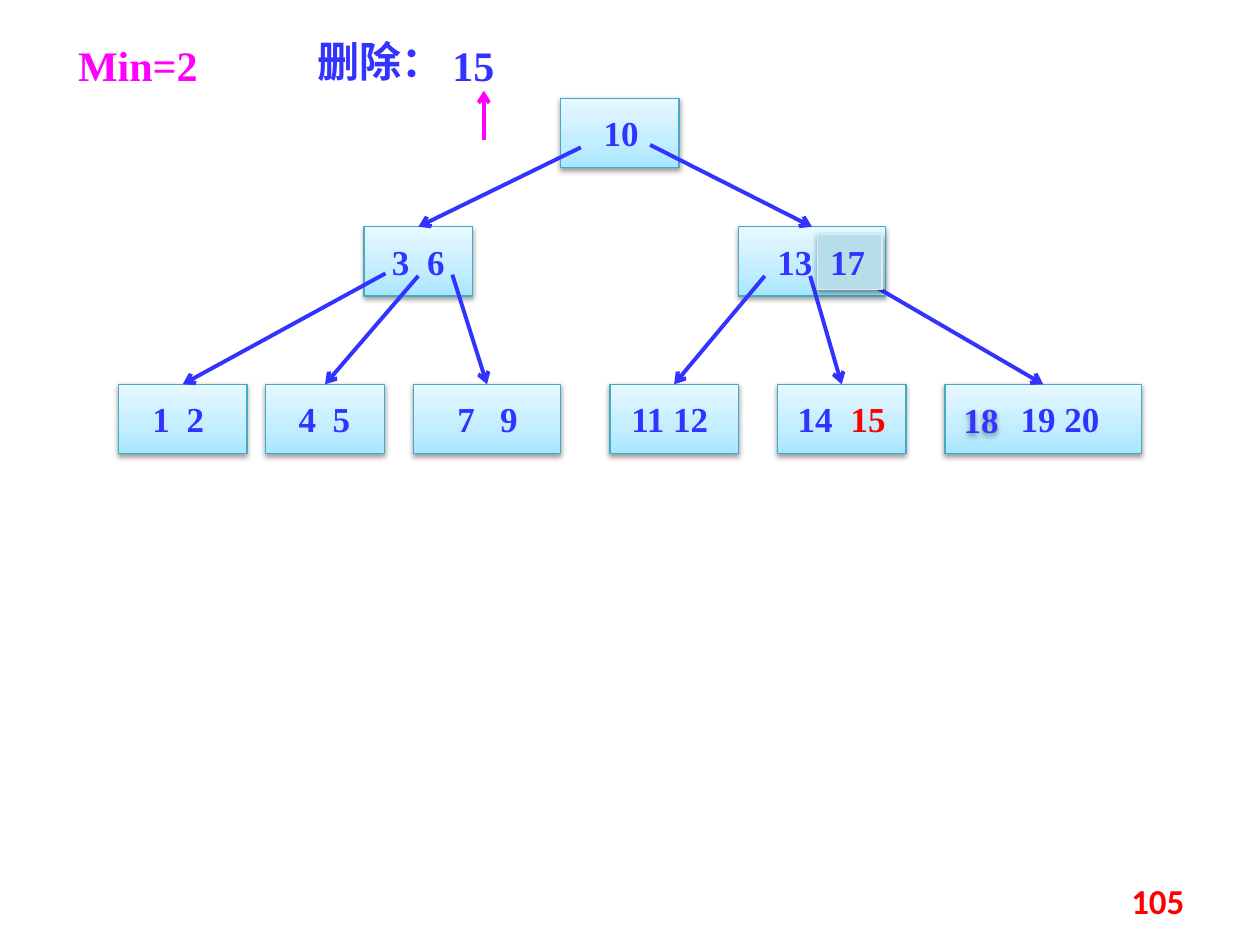
from dataclasses import dataclass

from lxml.etree import SubElement
from pptx import Presentation
from pptx.dml.color import RGBColor
from pptx.enum.shapes import MSO_CONNECTOR, MSO_SHAPE
from pptx.enum.text import MSO_ANCHOR, PP_ALIGN
from pptx.oxml.ns import qn
from pptx.util import Inches, Pt


@dataclass(frozen=True)
class Theme:
    blue: str = "3333FF"
    magenta: str = "FF00FF"
    red: str = "FF0000"
    node_line: str = "46AAC5"
    node_stops: tuple = ((0, "A7E6FF"), (35, "C1EDFF"), (100, "E7F8FF"))
    moved_fill: str = "B7DEE8"
    moved_line: str = "DBEEF4"
    heading: int = 24
    key: int = 20
    serif: str = "Times New Roman"
    chinese: str = "Noto Sans CJK SC"
    sans: str = "Calibri"


THEME = Theme()


def write(frame, text, size=THEME.key, font=THEME.serif, color=THEME.blue,
          align=PP_ALIGN.LEFT, anchor=MSO_ANCHOR.TOP, insets=(0.1, 0.05, 0.1, 0.05),
          tabs=(), colors=None):
    frame.word_wrap = True
    frame.vertical_anchor = anchor
    frame.margin_left, frame.margin_top, frame.margin_right, frame.margin_bottom = map(Inches, insets)
    paragraph = frame.paragraphs[0]
    paragraph.alignment = align
    if tabs:
        tab_list = SubElement(paragraph._p.get_or_add_pPr(), qn("a:tabLst"))
        for position in tabs:
            SubElement(tab_list, qn("a:tab"), pos=str(Inches(position)), algn="l")
    pieces = [text] if isinstance(text, str) else text
    for piece, piece_color in zip(pieces, colors or [color] * len(pieces)):
        run = paragraph.add_run()
        run.text = piece
        run.font.size = Pt(size)
        run.font.bold = True
        run.font.name = font
        run.font.color.rgb = RGBColor.from_string(piece_color)
        SubElement(run._r.get_or_add_rPr(), qn("a:ea"), typeface=font)


class TreeSlide:
    def __init__(self, slide, theme):
        self.shapes = slide.shapes
        self.theme = theme

    def cast_shadow(self, shape):
        shape.shadow.inherit = False
        effects = shape.element.spPr.find(qn("a:effectLst"))
        shadow = SubElement(effects, qn("a:outerShdw"), blurRad=str(Pt(3.1)),
                            dist=str(Pt(1.6)), dir="5400000", rotWithShape="0")
        shade = SubElement(shadow, qn("a:srgbClr"), val="000000")
        SubElement(shade, qn("a:alpha"), val="38000")

    def label(self, text, left, top, width, height, shadow=False, **style):
        box = self.shapes.add_textbox(*map(Inches, (left, top, width, height)))
        write(box.text_frame, text, **style)
        if shadow:
            self.cast_shadow(box)

    def box(self, left, top, width, height, line):
        shape = self.shapes.add_shape(MSO_SHAPE.RECTANGLE, *map(Inches, (left, top, width, height)))
        shape.line.color.rgb = RGBColor.from_string(line)
        shape.line.width = Pt(0.75)
        self.cast_shadow(shape)
        return shape

    def node(self, left, top, width, keys, starts, colors=None):
        shape = self.box(left, top, width, 0.55, self.theme.node_line)
        shape.fill.gradient()
        shape.fill.gradient_angle = 90
        stops = shape.element.spPr.find(qn("a:gradFill")).find(qn("a:gsLst"))
        for stop in list(stops):
            stops.remove(stop)
        for percent, color in self.theme.node_stops:
            stop = SubElement(stops, qn("a:gs"), pos=str(percent * 1000))
            SubElement(stop, qn("a:srgbClr"), val=color)
        first = starts[0]
        write(shape.text_frame, [keys[0]] + ["\t" + key for key in keys[1:]],
              anchor=MSO_ANCHOR.MIDDLE, insets=(first, 0.05, 0, 0.05),
              tabs=[start - first for start in starts[1:]], colors=colors)
        return shape

    def moved_key(self, text, left, top, width, height):
        shape = self.box(left, top, width, height, self.theme.moved_line)
        shape.fill.solid()
        shape.fill.fore_color.rgb = RGBColor.from_string(self.theme.moved_fill)
        write(shape.text_frame, text)

    def arrow(self, start, end, color, child=None):
        connector = self.shapes.add_connector(MSO_CONNECTOR.STRAIGHT, *map(Inches, start + end))
        if child is not None:
            connector.end_connect(child, 0)
        connector.line.color.rgb = RGBColor.from_string(color)
        connector.line.width = Pt(2.25)
        SubElement(connector.line._get_or_add_ln(), qn("a:tailEnd"), type="arrow")
        SubElement(connector.element.spPr, qn("a:effectLst"))

    def edge(self, start, child):
        top_middle = ((child.left + child.width / 2) / Inches(1), child.top / Inches(1))
        self.arrow(start, top_middle, self.theme.blue, child)


def main():
    presentation = Presentation()
    presentation.slide_width, presentation.slide_height = Inches(10), Inches(7.5)
    tree = TreeSlide(presentation.slides.add_slide(presentation.slide_layouts[6]), THEME)

    flush = (0, 0, 0, 0)
    tree.label("Min=2", 0.62, 0.31, 1.26, 0.4, size=THEME.heading, color=THEME.magenta, insets=flush)
    tree.label("删除：", 2.42, 0.23, 1.25, 0.5, size=THEME.heading, font=THEME.chinese)
    tree.label("15", 3.59, 0.31, 0.47, 0.4, size=THEME.heading, insets=flush)
    tree.arrow((3.84, 1.11), (3.84, 0.72), THEME.magenta)

    branch_top, leaf_top = 1.8, 3.05
    tree.node(4.45, 0.78, 0.94, ["10"], [0.34])
    branches = [
        tree.node(2.89, branch_top, 0.86, ["3", "6"], [0.22, 0.5]),
        tree.node(5.86, branch_top, 1.17, ["13"], [0.31]),
    ]
    leaves = [
        tree.node(left, leaf_top, width, keys, starts, colors)
        for left, width, keys, starts, colors in (
            (0.94, 1.02, ["1", "2"], [0.27, 0.54], None),
            (2.11, 0.94, ["4", "5"], [0.26, 0.53], None),
            (3.28, 1.17, ["7", "9"], [0.35, 0.69], None),
            (4.84, 1.02, ["11 12"], [0.17], None),
            (6.17, 1.02, ["14", "15"], [0.16, 0.58], [THEME.blue, THEME.red]),
            (7.5, 1.56, ["19 20"], [0.6], None),
        )
    ]

    branch_starts = [(4.61, 1.17), (5.16, 1.15)]
    leaf_starts = [(3.06, 2.17), (3.32, 2.19), (3.59, 2.18), (6.07, 2.19), (6.43, 2.19), (6.8, 2.19)]
    for start, child in zip(branch_starts + leaf_starts, branches + leaves):
        tree.edge(start, child)

    tree.label("18", 7.55, 3.11, 0.51, 0.44, shadow=True)
    tree.moved_key("17", 6.49, 1.86, 0.51, 0.44)
    tree.label("105", 7.17, 6.95, 2.33, 0.4, font=THEME.sans, color=THEME.red,
               align=PP_ALIGN.RIGHT, anchor=MSO_ANCHOR.MIDDLE)
    presentation.save("out.pptx")


if __name__ == "__main__":
    main()
